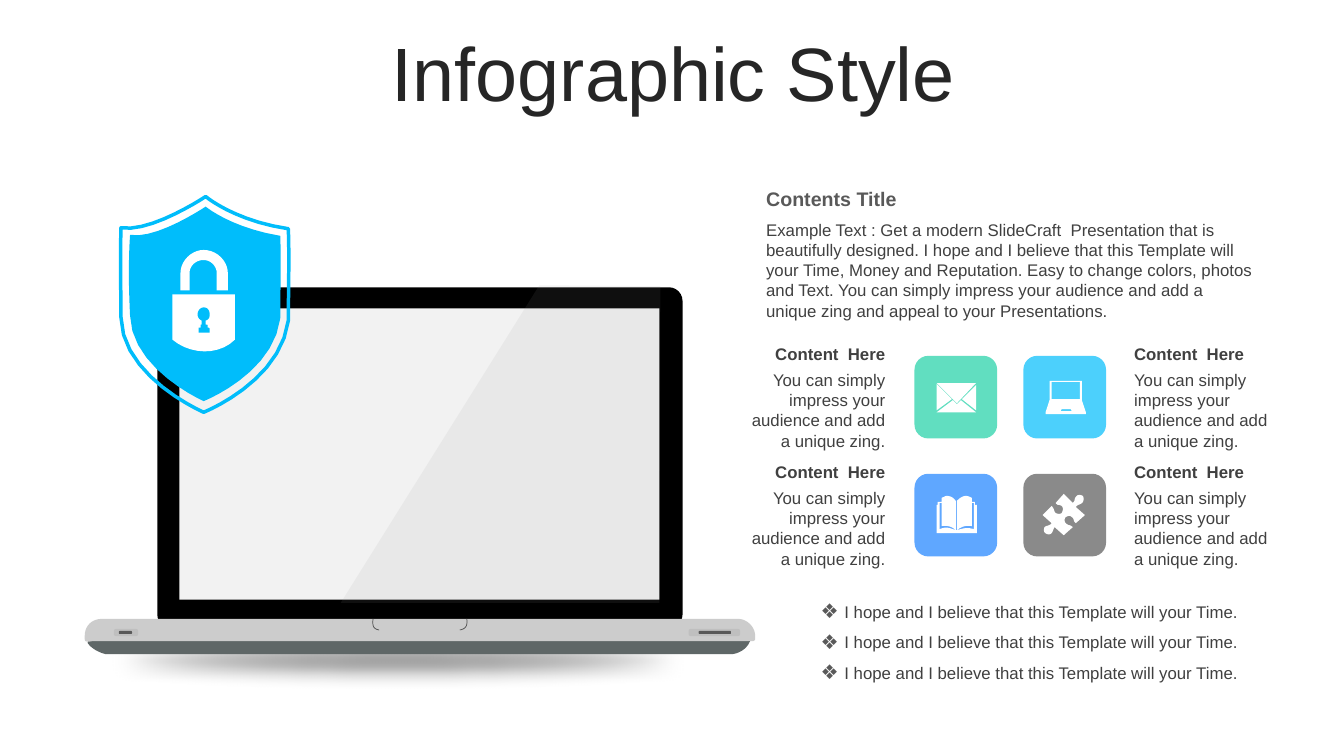
from lxml import etree
from pptx import Presentation
from pptx.dml.color import RGBColor
from pptx.enum.shapes import MSO_SHAPE
from pptx.enum.text import MSO_ANCHOR, MSO_AUTO_SIZE, PP_ALIGN
from pptx.oxml.ns import qn
from pptx.util import Cm, Pt

LEFT, CENTER, RIGHT = PP_ALIGN.LEFT, PP_ALIGN.CENTER, PP_ALIGN.RIGHT
TOP, MIDDLE = MSO_ANCHOR.TOP, MSO_ANCHOR.MIDDLE
ROUNDED, OVAL, RECTANGLE = MSO_SHAPE.ROUNDED_RECTANGLE, MSO_SHAPE.OVAL, MSO_SHAPE.RECTANGLE
FONT, WHITE, SKY, TEXT, GRAY = "Arial", "FFFFFF", "00BDFB", "404040", "595959"

# Positions and outlines are in inches; inch() turns them into Cm.
TITLE = "Infographic Style"
INTRO_TITLE = "Contents Title"
INTRO = ("Example Text : Get a modern SlideCraft  Presentation that is beautifully designed. "
         "I hope and I believe that this Template will your Time, Money and Reputation. "
         "Easy to change colors, photos and Text. You can simply impress your audience "
         "and add a unique zing and appeal to your Presentations.")
BULLETS = ["I hope and I believe that this Template will your Time."] * 3
CARD_TITLE = "Content  Here"
CARD_TEXT = "You can simply impress your audience and add a unique zing."

ENVELOPE = ("M 9.53 3.97 L 9.68 4.09 L 9.29 4.09 L 9.45 3.97 L 9.49 4.01 Z "
            "M 9.68 3.82 L 9.68 4.07 L 9.54 3.96 Z M 9.29 3.81 L 9.44 3.96 L 9.29 4.07 Z "
            "M 9.29 3.8 L 9.68 3.8 L 9.49 4 Z")
NOTEBOOK = ("M 10.53 4.06 L 10.52 4.08 L 10.63 4.08 L 10.62 4.06 Z "
            "M 10.43 3.79 L 10.43 3.96 L 10.71 3.96 L 10.71 3.79 Z "
            "M 10.41 3.78 L 10.73 3.78 L 10.73 3.97 L 10.77 4.09 L 10.77 4.11 "
            "L 10.37 4.11 L 10.37 4.09 L 10.41 3.97 Z")
BOOK = ("M 9.48 5.26 L 9.49 5.26 C 9.56 5.24 9.59 5.23 9.66 5.25 L 9.66 4.99 L 9.64 4.99 "
        "L 9.64 5.22 C 9.59 5.21 9.54 5.22 9.49 5.26 L 9.49 4.97 "
        "C 9.52 4.94 9.55 4.92 9.58 4.92 C 9.6 4.92 9.62 4.93 9.64 4.94 L 9.64 4.98 "
        "L 9.67 4.98 L 9.67 5.01 L 9.69 5.01 L 9.69 5.29 L 9.29 5.29 L 9.29 5.01 "
        "L 9.3 5.01 L 9.3 4.98 L 9.34 4.98 L 9.34 4.94 C 9.36 4.93 9.38 4.92 9.39 4.92 "
        "C 9.43 4.92 9.46 4.94 9.48 4.97 L 9.48 5.26 C 9.44 5.22 9.38 5.21 9.34 5.22 "
        "L 9.34 4.99 L 9.32 4.99 L 9.32 5.25 C 9.39 5.22 9.42 5.24 9.48 5.26 Z")
PUZZLE = ("M 10.74 4.92 C 10.75 4.94 10.75 4.96 10.74 4.98 C 10.72 5.01 10.69 5 10.67 5.03 "
          "L 10.76 5.11 L 10.67 5.19 C 10.64 5.17 10.66 5.15 10.63 5.13 "
          "C 10.61 5.11 10.59 5.12 10.57 5.13 C 10.56 5.14 10.55 5.17 10.57 5.19 "
          "C 10.6 5.22 10.61 5.2 10.64 5.23 L 10.55 5.31 L 10.46 5.23 "
          "C 10.44 5.26 10.45 5.26 10.43 5.29 C 10.41 5.31 10.38 5.3 10.37 5.29 "
          "C 10.35 5.28 10.35 5.25 10.36 5.23 C 10.38 5.21 10.41 5.22 10.43 5.19 "
          "L 10.34 5.11 L 10.43 5.02 C 10.46 5.05 10.45 5.07 10.47 5.09 "
          "C 10.49 5.1 10.52 5.1 10.53 5.09 C 10.54 5.07 10.55 5.04 10.53 5.02 "
          "C 10.5 5 10.49 5.02 10.47 4.99 L 10.55 4.9 L 10.64 4.99 "
          "C 10.67 4.96 10.65 4.95 10.67 4.93 C 10.69 4.9 10.72 4.91 10.74 4.92 Z")
# Column, row, tile colour, icon outline
CARDS = [(0, 0, "1ED0A6", ENVELOPE), (1, 0, SKY, NOTEBOOK),
         (0, 1, "1C82FF", BOOK), (1, 1, GRAY, PUZZLE)]

BASE_BOTTOM = ("M 7.26 6.49 C 7.26 6.49 7.39 6.48 7.44 6.36 C 7.44 6.33 7.42 6.3 7.38 6.3 "
               "L 0.94 6.32 C 0.9 6.32 0.87 6.35 0.87 6.38 C 0.92 6.45 1.01 6.48 1.05 6.49 Z")
BASE_TOP = ("M 1.01 6.14 L 7.32 6.14 C 7.41 6.14 7.49 6.22 7.49 6.31 L 7.49 6.34 "
            "C 7.49 6.34 7.49 6.37 7.43 6.36 L 0.92 6.36 C 0.87 6.37 0.84 6.37 0.84 6.34 "
            "L 0.84 6.31 C 0.84 6.21 0.91 6.14 1.01 6.14 Z")
NOTCH = "M 3.7 6.14 C 3.69 6.22 3.71 6.24 3.76 6.25 M 4.63 6.14 C 4.64 6.22 4.61 6.24 4.56 6.25"
GLEAM = "M 5.35 2.83 L 6.55 2.84 L 6.54 5.98 L 3.38 5.98 Z"
PORTS = [(1.13, 0.24, 1.18, 0.13), (6.83, 0.51, 6.93, 0.32)]  # Left, width; slot left, width
SHIELD_RIM = ("M 2.04 1.95 C 2.04 1.95 1.5 2.31 1.2 2.26 C 1.19 2.59 1.2 2.9 1.2 3.15 "
              "C 1.21 3.74 2.02 4.09 2.02 4.09 C 2.02 4.09 2.78 3.79 2.86 3.18 "
              "C 2.86 2.88 2.87 2.56 2.86 2.27 C 2.32 2.19 2.04 1.95 2.04 1.95 Z")
SHIELD = ("M 2.04 2.05 C 2.04 2.05 1.55 2.38 1.29 2.33 C 1.27 2.63 1.28 2.91 1.29 3.13 "
          "C 1.3 3.66 2.02 3.98 2.02 3.98 C 2.02 3.98 2.71 3.71 2.78 3.16 "
          "C 2.78 2.89 2.79 2.6 2.78 2.34 C 2.29 2.26 2.04 2.05 2.04 2.05 Z")
LOCK_BODY = "M 2.33 3.37 C 2.17 3.53 1.89 3.52 1.71 3.37 L 1.71 2.92 L 2.33 2.92 Z"
LOCK_BOW = ("M 2.02 2.48 C 1.9 2.48 1.79 2.59 1.79 2.71 L 1.79 2.88 L 1.88 2.88 L 1.88 2.71 "
            "C 1.88 2.64 1.94 2.58 2.02 2.58 C 2.09 2.58 2.15 2.64 2.15 2.71 L 2.15 2.88 "
            "L 2.26 2.88 L 2.26 2.71 C 2.26 2.59 2.15 2.48 2.02 2.48 Z")
KEYHOLE = ("M 2.07 3.25 L 2.06 3.25 L 2.06 3.23 C 2.06 3.22 2.05 3.22 2.04 3.22 L 2.04 3.18 "
           "C 2.07 3.17 2.08 3.15 2.08 3.12 C 2.08 3.08 2.06 3.05 2.02 3.05 "
           "C 1.99 3.05 1.96 3.08 1.96 3.12 C 1.96 3.15 1.98 3.17 2 3.18 L 2 3.22 "
           "C 1.99 3.22 1.99 3.22 1.99 3.23 L 1.99 3.25 L 1.97 3.25 L 1.97 3.3 "
           "L 2.08 3.3 L 2.08 3.26 Z")


def inch(value):
    return Cm(value * 2.54)


def color(text):
    return RGBColor.from_string(text)


def style(shape, fill=None, alpha=None, line=None, width=1):
    """Set fill, opacity in percent and outline, without a shadow."""
    shape.shadow.inherit = False
    if fill:
        shape.fill.solid()
        shape.fill.fore_color.rgb = color(fill)
    else:
        shape.fill.background()
    if alpha:
        tint = shape.element.spPr.find(qn("a:solidFill"))[0]
        etree.SubElement(tint, qn("a:alpha"), val=str(alpha * 1000))
    if line:
        shape.line.color.rgb = color(line)
        shape.line.width = Pt(width)
    else:
        shape.line.fill.background()
    return shape


def add_preset(page, kind, place, adjust=None, **look):
    shape = page.shapes.add_shape(kind, *map(inch, place))
    if adjust is not None:
        shape.adjustments[0] = adjust
    return style(shape, **look)


def add_outline(page, outline, steps=10, **look):
    """Draw M, L, C and Z commands, with curves as short segments."""
    builder = None
    for chunk in outline.split("M")[1:]:
        tokens = chunk.replace("Z", "").replace("L", ";L").replace("C", ";C").split(";")
        start, *moves = [part.split() for part in tokens]
        here = tuple(map(float, start))
        points = []
        for kind, *numbers in moves:
            values = [float(number) for number in numbers]
            one, two, end = here, here, tuple(values[-2:])
            if kind == "C":
                one, two = values[:2], values[2:4]
            count = steps if kind == "C" else 1
            for step in range(1, count + 1):
                t = step / count
                u = 1 - t
                points.append([inch(u**3 * a + 3 * u * u * t * b + 3 * u * t * t * c + t**3 * d)
                               for a, b, c, d in zip(here, one, two, end)])
            here = end
        first = [inch(float(value)) for value in start]
        if builder:
            builder.move_to(*first)
        else:
            builder = page.shapes.build_freeform(*first, scale=1.0)
        builder.add_line_segments(points, close="Z" in chunk)
    return style(builder.convert_to_shape(), **look)


def write(box, place, lines, size=12, ink=TEXT, bold=False, align=LEFT, anchor=TOP,
          spacing=1.0, bullet=None):
    box.left, box.top, box.width, box.height = map(inch, place)
    frame = box.text_frame
    frame.word_wrap, frame.auto_size = True, MSO_AUTO_SIZE.NONE
    frame.vertical_anchor = anchor
    for index, line in enumerate(lines):
        para = frame.add_paragraph() if index else frame.paragraphs[0]
        if bullet:
            props = para._p.get_or_add_pPr()
            props.set("marL", str(inch(0.235)))
            props.set("indent", str(-inch(0.235)))
            tint = etree.SubElement(props, qn("a:buClr"))
            etree.SubElement(tint, qn("a:srgbClr"), val=GRAY)
            etree.SubElement(props, qn("a:buSzPct"), val="120000")
            etree.SubElement(props, qn("a:buFont"), typeface=FONT)
            etree.SubElement(props, qn("a:buChar"), char=bullet)
        para.alignment, para.line_spacing, para.space_before = align, spacing, Pt(0)
        span = para.add_run()
        span.text = line
        span.font.name, span.font.size, span.font.bold = FONT, Pt(size), bold
        span.font.color.rgb = color(ink)


def add_text(page, place, line, **look):
    write(page.shapes.add_textbox(0, 0, 0, 0), place, [line], **look)


def draw_laptop(page):
    shadow = add_preset(page, OVAL, (0, 6.26, 7.9, 0.58), fill="808080")
    effects = shadow.element.spPr.find(qn("a:effectLst"))
    etree.SubElement(effects, qn("a:softEdge"), rad=str(Cm(0.5)))
    add_outline(page, BASE_BOTTOM, fill="5F6767")
    add_preset(page, ROUNDED, (1.56, 2.85, 5.21, 3.38), adjust=0.04, fill="000000")
    add_preset(page, RECTANGLE, (1.78, 3.06, 4.76, 2.89), fill="F2F2F2")
    add_outline(page, BASE_TOP, fill="CCCCCC")
    add_outline(page, NOTCH, line="4D4D4D", width=0.5)
    for left, width, slot_left, slot_width in PORTS:
        add_preset(page, ROUNDED, (left, 6.24, width, 0.07), adjust=0.28, fill="BFBFBF")
        add_preset(page, ROUNDED, (slot_left, 6.26, slot_width, 0.03), adjust=0.28, fill=GRAY)
    add_outline(page, GLEAM, fill="999999", alpha=10)


def draw_shield(page):
    add_outline(page, SHIELD_RIM, line=SKY, width=2.5)
    for outline, fill in ((SHIELD, SKY), (LOCK_BODY, WHITE), (LOCK_BOW, WHITE), (KEYHOLE, SKY)):
        add_outline(page, outline, fill=fill)


def draw_cards(page):
    for column, row, fill, icon in CARDS:
        drop = row * 1.17
        add_preset(page, ROUNDED, (9.07 + column * 1.08, 3.53 + drop, 0.82, 0.82),
                   fill=fill, alpha=70)
        add_outline(page, icon, fill=WHITE)
        left, align = ((7.24, RIGHT), (11.15, LEFT))[column]
        add_text(page, (left, 3.36 + drop, 1.64, 0.3), CARD_TITLE, bold=True,
                 align=align, anchor=MIDDLE)
        add_text(page, (left, 3.62 + drop, 1.64, 0.91), CARD_TEXT, align=align)


def main():
    deck = Presentation()
    deck.slide_width, deck.slide_height = inch(13.33), inch(7.5)
    page = deck.slides.add_slide(deck.slide_layouts[1])
    write(page.shapes.title, (0.35, 0.37, 12.66, 0.79), [TITLE], size=54, ink="262626",
          align=CENTER, anchor=MIDDLE, spacing=0.9)
    draw_laptop(page)
    draw_shield(page)
    add_text(page, (7.5, 1.81, 5.08, 0.34), INTRO_TITLE, size=14, ink=GRAY, bold=True)
    add_text(page, (7.5, 2.13, 5.08, 1.11), INTRO)
    draw_cards(page)
    write(page.placeholders[1], (8.04, 5.82, 4.54, 0.98), BULLETS, spacing=1.5, bullet="❖")
    deck.save("out.pptx")


if __name__ == "__main__":
    main()
